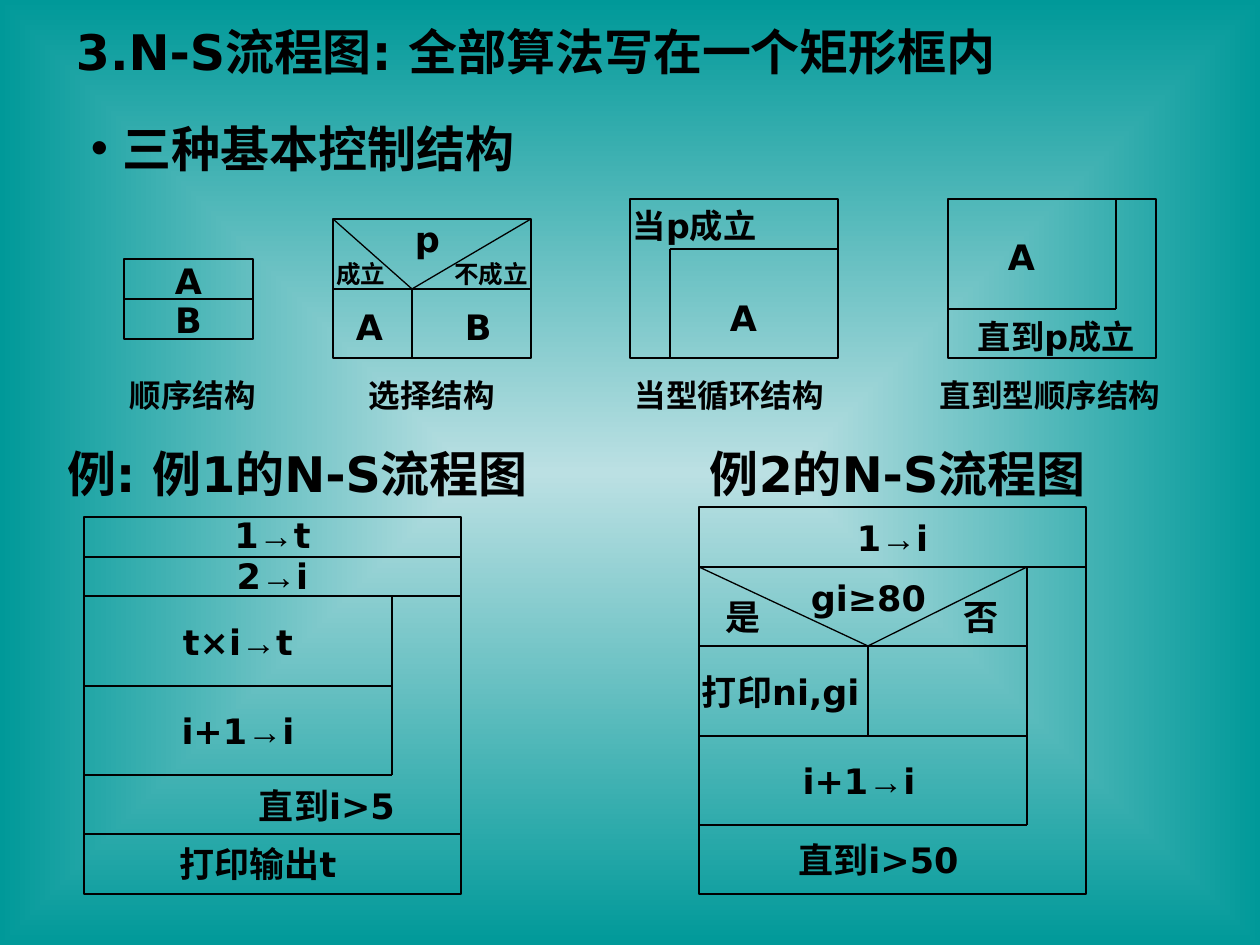
"""Build the slide on N-S flowcharts and their three control structures."""
from pptx import Presentation
from pptx.dml.color import RGBColor
from pptx.enum.shapes import MSO_CONNECTOR, MSO_SHAPE
from pptx.enum.text import MSO_ANCHOR, PP_ALIGN
from pptx.oxml import parse_xml
from pptx.oxml.ns import nsdecls
from pptx.oxml.xmlchemy import OxmlElement
from pptx.util import Pt

THEME = {
    "ink": RGBColor.from_string("000000"),
    "glow": RGBColor.from_string("BBE0E3"),
    "edge": RGBColor.from_string("009999"),
    "font": "DejaVu Sans", "arrow": "Arial",
    "head": 28, "body": 20, "loop": 19, "name": 18, "note": 14, "line": 0.75,
}
SCALE = 914400 // 126
PAD, TALL = 13, 56
LEFT, MID = PP_ALIGN.LEFT, PP_ALIGN.CENTER

TITLE = ("3.N-S流程图: 全部算法写在一个矩形框内", 63, 51, 1134, "head", LEFT)
POINT = ("三种基本控制结构", 63, 148, 1134, "head", LEFT)

# text, left, middle, width, size, align
HEADS = [
    ("例: 例1的N-S流程图", 54, 473, 600, "head", LEFT),
    ("例2的N-S流程图", 697, 473, 500, "head", LEFT),
    ("顺序结构", 113, 395, 159, "name", MID),
    ("选择结构", 352, 395, 159, "name", MID),
    ("当型循环结构", 620, 395, 218, "name", MID),
    ("直到型顺序结构", 927, 395, 258, "name", LEFT),
]

CHARTS = [
    {"frame": (124, 259, 129, 80),
     "lines": [(124, 299, 253, 299)],
     "texts": [("A", 124, 280, 129, "body", MID),
               ("B", 124, 320, 129, "body", MID)]},
    {"frame": (333, 219, 198, 139),
     "lines": [(333, 289, 531, 289), (333, 219, 412, 289),
               (412, 289, 531, 219), (412, 289, 412, 358)],
     "texts": [("p", 402, 238, 50, "body", MID),
               ("成立", 311, 274, 100, "note", MID),
               ("不成立", 441, 274, 100, "note", MID),
               ("A", 343, 327, 50, "body", MID),
               ("B", 452, 327, 50, "body", MID)]},
    {"frame": (630, 199, 208, 159),
     "lines": [(670, 249, 838, 249), (670, 249, 670, 358)],
     "texts": [("当p成立", 620, 225, 169, "loop", LEFT),
               ("A", 699, 317, 89, "body", MID)]},
    {"frame": (948, 199, 208, 159),
     "lines": [(948, 309, 1116, 309), (1116, 199, 1116, 309)],
     "texts": [("直到p成立", 965, 336, 205, "loop", LEFT),
               ("A", 977, 257, 89, "body", MID)]},
    {"frame": (84, 517, 377, 377),
     "lines": [(84, 557, 461, 557), (84, 596, 461, 596), (392, 596, 392, 775),
               (84, 775, 392, 775), (84, 834, 461, 834), (84, 686, 392, 686)],
     "texts": [("1→t", 84, 535, 377, "body", MID),
               ("2→i", 84, 575, 377, "body", MID),
               ("t×i→t", 124, 641, 228, "body", MID),
               ("i+1→i", 124, 731, 228, "body", MID),
               ("直到i>5", 213, 805, 228, "body", MID),
               ("打印输出t", 144, 864, 228, "body", MID)]},
    {"frame": (699, 507, 387, 387),
     "lines": [(699, 567, 1086, 567), (1027, 567, 1027, 825),
               (699, 825, 1027, 825), (699, 646, 1027, 646),
               (699, 736, 1027, 736), (868, 646, 868, 736),
               (699, 567, 868, 646), (1027, 567, 868, 646)],
     "texts": [("1→i", 699, 537, 387, "body", MID),
               ("gi≥80", 789, 597, 159, "body", MID),
               ("是", 699, 616, 89, "body", MID),
               ("否", 937, 616, 89, "body", MID),
               ("打印ni,gi", 689, 692, 208, "body", LEFT),
               ("i+1→i", 730, 781, 258, "body", MID),
               ("直到i>50", 730, 859, 297, "body", MID)]},
]


def px(*nums):
    return [num * SCALE for num in nums]


def add_run(para, text, font, size):
    run = para.add_run()
    run.text = text
    run.font.name = THEME[font]
    run.font.size = Pt(THEME[size])
    run.font.bold = True
    run.font.color.rgb = THEME["ink"]


def write(box, text, size, align):
    frame = box.text_frame
    frame.word_wrap = True
    frame.vertical_anchor = MSO_ANCHOR.MIDDLE
    frame.margin_left, frame.margin_right = px(PAD, PAD)
    para = frame.paragraphs[0]
    para.alignment = align
    pre, mark, post = text.partition("→")
    for part, font in ((pre, "font"), (mark, "arrow"), (post, "font")):
        if part:
            add_run(para, part, font, size)
    return para


def add_text(shapes, text, left, mid, width, size, align):
    box = shapes.add_textbox(*px(left, mid - TALL // 2, width, TALL))
    return write(box, text, size, align)


def add_line(shapes, ends):
    line = shapes.add_connector(MSO_CONNECTOR.STRAIGHT, *px(*ends))
    line.line.color.rgb = THEME["ink"]
    line.line.width = Pt(THEME["line"])
    line._element.spPr.append(OxmlElement("a:effectLst"))


def add_chart(slide, chart):
    shapes = slide.shapes.add_group_shape().shapes
    rect = shapes.add_shape(MSO_SHAPE.RECTANGLE, *px(*chart["frame"]))
    rect.shadow.inherit = False
    rect.fill.background()
    rect.line.color.rgb = THEME["ink"]
    rect.line.width = Pt(THEME["line"])
    for ends in chart["lines"]:
        add_line(shapes, ends)
    for label in chart["texts"]:
        add_text(shapes, *label)


def paint(slide):
    fill = slide.background.fill
    fill.gradient()
    for stop, name in zip(fill.gradient_stops, ("glow", "edge")):
        stop.color.rgb = THEME[name]
    lin = slide.element.xpath(".//p:bg//a:lin")[0]
    lin.getparent().replace(lin, parse_xml(
        f'<a:path {nsdecls("a")} path="rect"><a:fillToRect '
        'l="50000" t="50000" r="50000" b="50000"/></a:path>'))


def add_point(slide):
    para = add_text(slide.shapes, *POINT)
    props = para._p.get_or_add_pPr()
    props.set("marL", str(47 * SCALE))
    props.set("indent", str(-32 * SCALE))
    for tag, key, val in (("a:buFont", "typeface", THEME["arrow"]),
                          ("a:buChar", "char", "•")):
        item = OxmlElement(tag)
        item.set(key, val)
        props.append(item)


def main():
    deck = Presentation()
    deck.slide_width, deck.slide_height = px(1260, 945)
    slide = deck.slides.add_slide(deck.slide_layouts[5])
    paint(slide)
    text, left, mid, width, size, align = TITLE
    head = slide.shapes.title
    head.left, head.top, head.width, head.height = px(
        left, mid - TALL // 2, width, TALL)
    write(head, text, size, align)
    add_point(slide)
    for label in HEADS:
        add_text(slide.shapes, *label)
    for chart in CHARTS:
        add_chart(slide, chart)
    deck.save("out.pptx")


if __name__ == "__main__":
    main()
